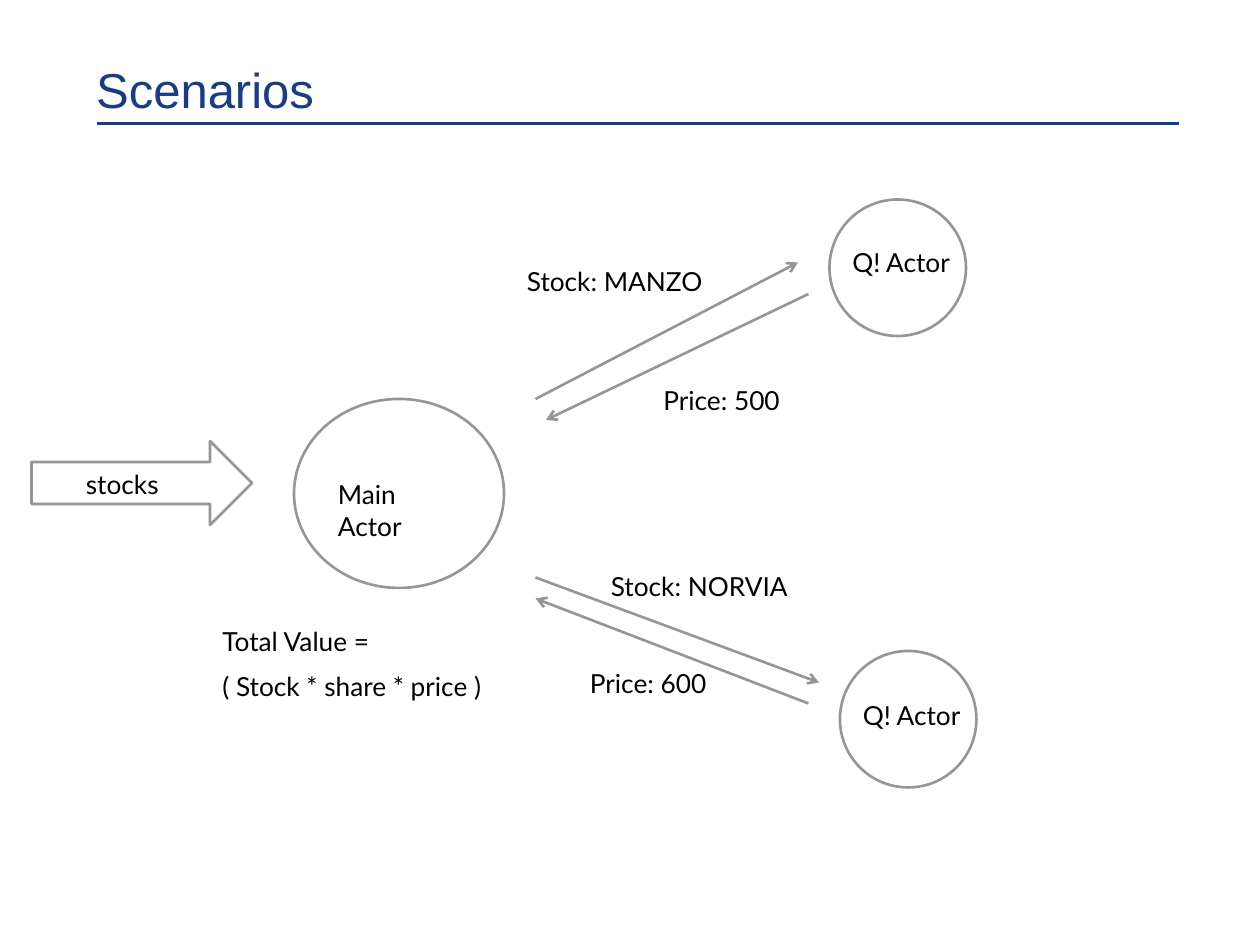
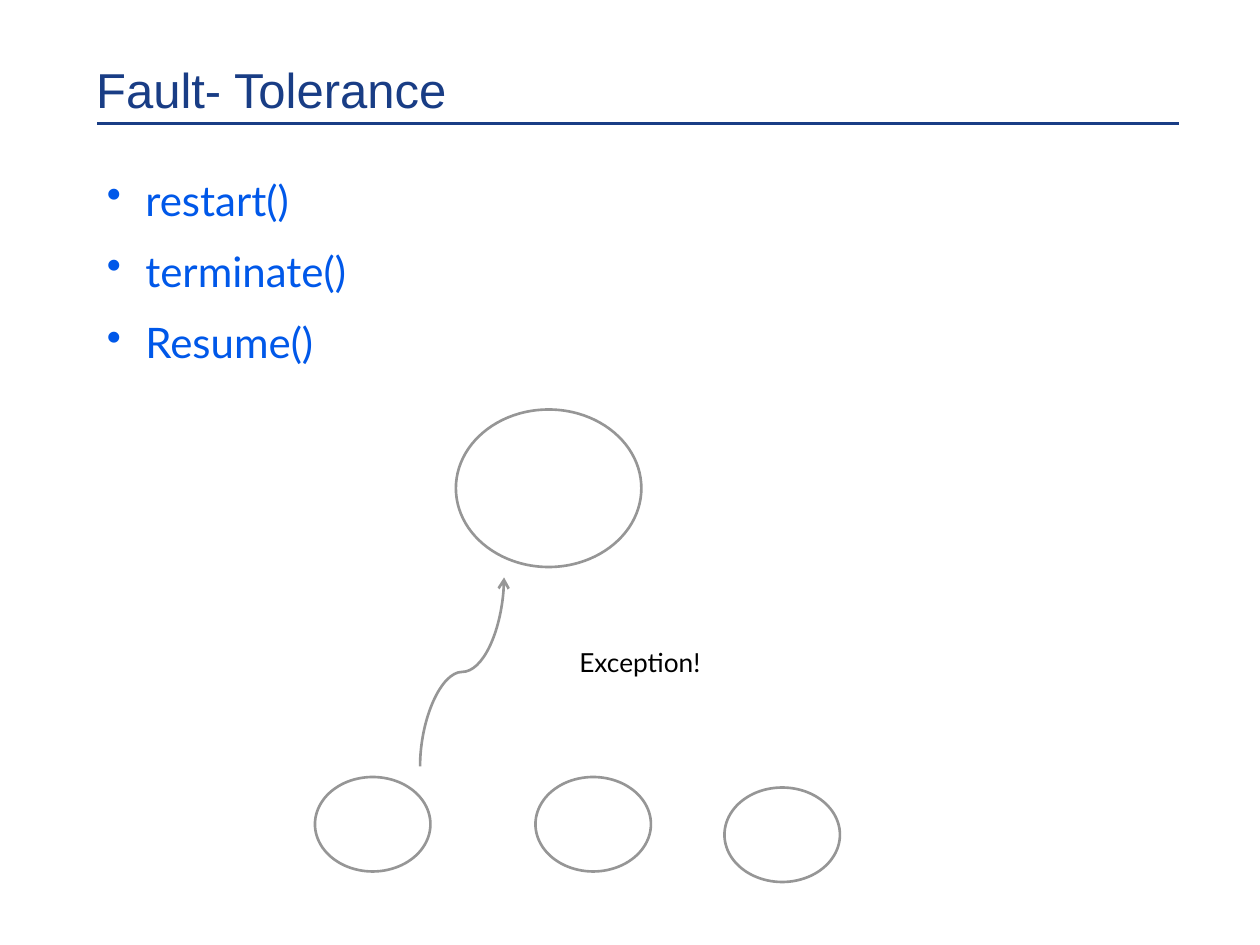
"""Build two slides about actors: the message scenarios and fault tolerance."""
from lxml.etree import SubElement
from pptx import Presentation
from pptx.dml.color import RGBColor
from pptx.enum.shapes import MSO_CONNECTOR as CONNECTOR, MSO_SHAPE as SHAPE
from pptx.enum.text import MSO_ANCHOR as ANCHOR
from pptx.oxml.ns import qn
from pptx.util import Pt

NAVY = "193D85"
BLUE = "0058E9"
GREY = "969696"
BLACK = "000000"


def add_text(slide, left, top, width, height, lines, size=15, color=BLACK, font="Lato"):
    """Add a left-aligned text box with one paragraph per line."""
    frame = slide.shapes.add_textbox(Pt(left), Pt(top), Pt(width), Pt(height)).text_frame
    frame.word_wrap = True
    frame.text = "\n".join(lines)
    for index, paragraph in enumerate(frame.paragraphs):
        paragraph.space_before = Pt(size / 2 if index else 0)
        for run in paragraph.runs:
            run.font.size = Pt(size)
            run.font.name = font
            run.font.color.rgb = RGBColor.from_string(color)
    return frame


def add_line(slide, kind, start, end, color=GREY, width=1.5, arrow=True):
    """Add a connector without shadow, with an open arrowhead at its end if wanted."""
    connector = slide.shapes.add_connector(kind, *map(Pt, start + end))
    connector.line.color.rgb = RGBColor.from_string(color)
    connector.line.width = Pt(width)
    properties = connector._element.spPr
    if arrow:
        SubElement(properties.find(qn("a:ln")), qn("a:tailEnd"), type="arrow")
    SubElement(properties, qn("a:effectLst"))
    return connector


presentation = Presentation()
presentation.slide_width = Pt(720)
presentation.slide_height = Pt(540)

slides = []
for title in ("Scenarios", "Fault- Tolerance"):
    slide = presentation.slides.add_slide(presentation.slide_layouts[6])
    add_line(slide, CONNECTOR.STRAIGHT, (55.5, 70.5), (674, 70.5), NAVY, 2, False)
    frame = add_text(slide, 55, 0, 619, 67.5, [title], 28, NAVY, "Arial")
    frame.margin_left = frame.margin_right = frame.margin_top = frame.margin_bottom = 0
    frame.vertical_anchor = ANCHOR.BOTTOM
    frame.paragraphs[0].line_spacing = 0.85
    slides.append(slide)
scenarios, tolerance = slides

outlines = [
    (scenarios, SHAPE.OVAL, (168, 228, 120, 108)),
    (scenarios, SHAPE.RIGHT_ARROW, (18, 252, 126, 48)),
    (scenarios, SHAPE.OVAL, (474, 114, 78, 78)),
    (scenarios, SHAPE.OVAL, (480, 372, 78, 78)),
    (tolerance, SHAPE.OVAL, (260.5, 234, 106, 90)),
    (tolerance, SHAPE.OVAL, (180, 444, 66, 54)),
    (tolerance, SHAPE.OVAL, (306, 444, 66, 54)),
    (tolerance, SHAPE.OVAL, (414, 450, 66, 54)),
]
for slide, kind, box in outlines:
    shape = slide.shapes.add_shape(kind, *map(Pt, box))
    shape.shadow.inherit = False
    shape.fill.background()
    shape.line.color.rgb = RGBColor.from_string(GREY)
    shape.line.width = Pt(1.5)

messages = [
    ((306, 228), (456, 150)),
    ((306, 330), (468, 390)),
    ((462, 168), (312, 240)),
    ((462, 402), (306, 342)),
]
for start, end in messages:
    add_line(scenarios, CONNECTOR.STRAIGHT, start, end)

labels = [
    (scenarios, 186, 270, 72, ["Main Actor"]),
    (scenarios, 42, 264, 66, ["stocks"]),
    (scenarios, 480, 137, 78, ["Q! Actor"]),
    (scenarios, 486, 396, 78, ["Q! Actor"]),
    (scenarios, 294, 148, 138, ["Stock: MANZO"]),
    (scenarios, 372, 216, 108, ["Price: 500"]),
    (scenarios, 342, 322.5, 138, ["Stock: NORVIA"]),
    (scenarios, 330, 378, 108, ["Price: 600"]),
    (scenarios, 120, 354, 174, ["Total Value =", "( Stock * share * price )"]),
    (tolerance, 324, 366, 102, ["Exception!"]),
]
for slide, left, top, width, lines in labels:
    add_text(slide, left, top, width, 25 * len(lines), lines)

directives = add_text(tolerance, 54, 96, 606, 124, ["restart()", "terminate()", "Resume()"], 24, BLUE)
for paragraph in directives.paragraphs:
    properties = paragraph._p.get_or_add_pPr()
    properties.set("marL", str(Pt(22)))
    properties.set("indent", str(Pt(-22)))
    SubElement(properties, qn("a:buChar"), char="•")

escalation = add_line(tolerance, CONNECTOR.CURVE, (318, 408), (210, 360))
escalation._element.spPr.find(qn("a:xfrm")).set("rot", "5400000")

presentation.save("out.pptx")
